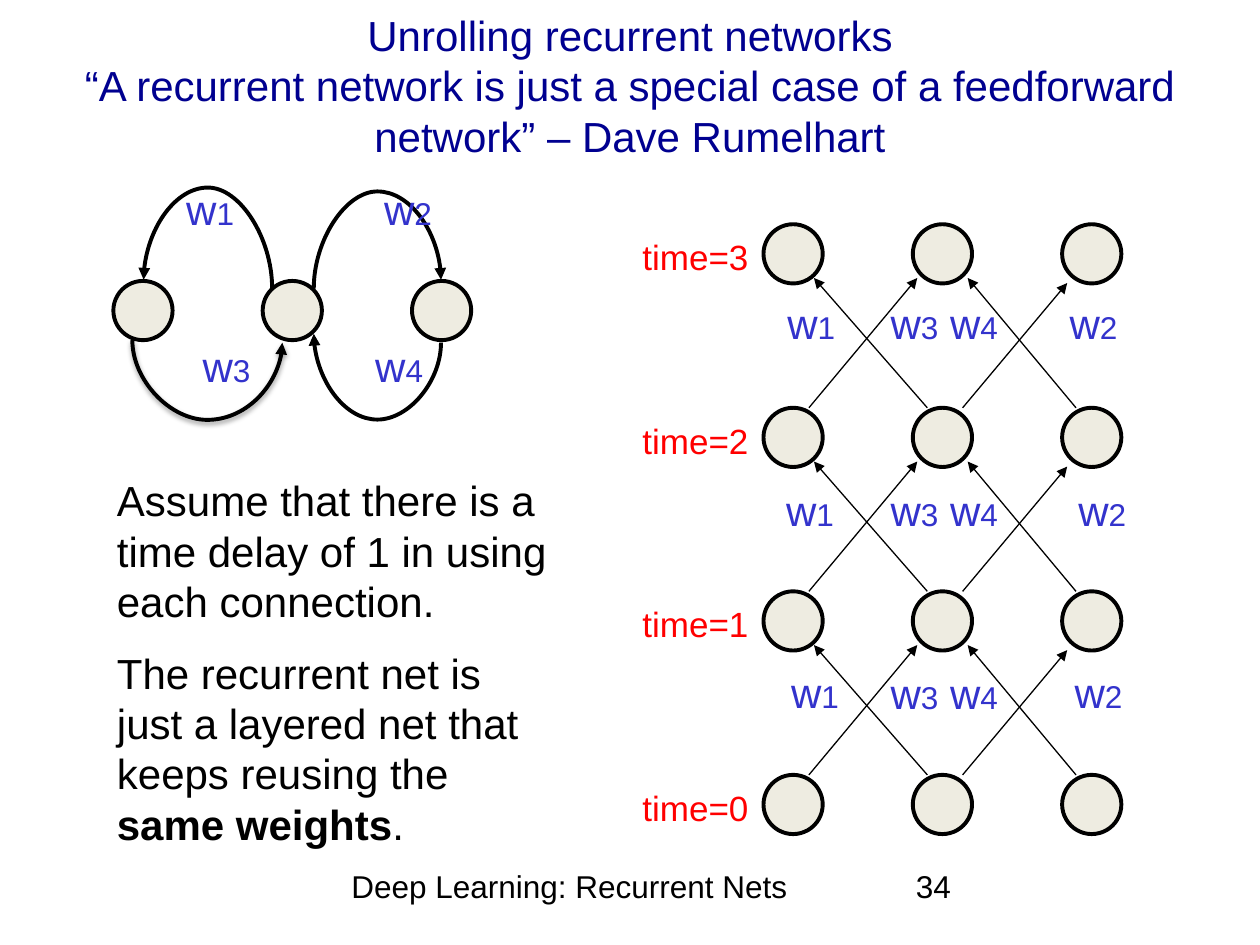
from typing import NamedTuple

from lxml import etree
from pptx import Presentation
from pptx import util as u
from pptx.dml import color
from pptx.enum import shapes, text
from pptx.oxml import ns

I = u.Inches
BLACK, RED, BLUE, NAVY, CREAM = "000000", "FF0000", "3333CC", "000090", "EEECE1"
SIZE = 0.47
PITCH = 2.37 / 2
TOP, LOW = 1.78, 6.15
STEP = (LOW - TOP) / 3


class Box(NamedTuple):
    x: float
    y: float
    w: float
    h: float


class Pair(NamedTuple):
    box: Box
    left: str
    right: str
    tab: float = 0


class Curve(NamedTuple):
    x0: float
    y0: float
    x1: float
    y1: float
    peak: float
    shade: bool = False


class Link(NamedTuple):
    x0: float
    x1: float
    rise: float


PAIRS = [
    Pair(Box(1.38, 1.41, 2.17, 0.5), "1", "2", 1.57),
    Pair(Box(1.51, 2.65, 2.17, 0.5), "3", "4", 1.37),
    Pair(Box(6.18, 5.24, 3.02, 0.5), "1", "2", 2.25),
    Pair(Box(6.97, 5.25, 1.15, 0.5), "3", "4"),
    Pair(Box(6.14, 3.8, 3.2, 0.5), "1", "2", 2.32),
    Pair(Box(6.97, 3.8, 1.15, 0.5), "3", "4"),
    Pair(Box(6.15, 2.31, 3.16, 0.5), "1", "2", 2.24),
    Pair(Box(6.97, 2.31, 1.09, 0.5), "3", "4"),
]
CURVES = [
    Curve(3.5, 2.72, 2.49, 2.65, 3.33),
    Curve(2.16, 2.29, 1.14, 2.22, 1.49),
    Curve(2.49, 2.29, 3.5, 2.22, 1.52),
    Curve(1.05, 2.7, 2.24, 2.72, 3.33, True),
]
LINKS = [
    Link(6.42, 7.28, 1.03),
    Link(8.54, 7.68, 1.03),
    Link(7.36, 6.46, 1.03),
    Link(7.64, 8.47, 0.99),
]


def rgb(code: str) -> color.RGBColor:
    return color.RGBColor.from_string(code)


def style(run, size: float, code: str, bold: bool = False) -> None:
    run.font.name = "Arial"
    run.font.size = u.Pt(size)
    run.font.color.rgb = rgb(code)
    run.font.bold = bold


def frame(slide, box: Box, grow: bool = True):
    area = slide.shapes.add_textbox(*map(I, box)).text_frame
    area.word_wrap = True
    if grow:
        area.auto_size = text.MSO_AUTO_SIZE.SHAPE_TO_FIT_TEXT
    return area


def label(slide, box: Box, words: str, size: float, code: str, grow: bool = True) -> None:
    area = frame(slide, box, grow)
    area.text = words
    style(area.paragraphs[0].runs[0], size, code)


def weights(slide, pair: Pair) -> None:
    para = frame(slide, pair.box).paragraphs[0]
    gap = " "
    if pair.tab:
        gap = "\t"
        stops = etree.SubElement(para._p.get_or_add_pPr(), ns.qn("a:tabLst"))
        etree.SubElement(stops, ns.qn("a:tab"), pos=str(I(pair.tab)), algn="l")
    for words, size in (("w", 24), (pair.left, 18), (gap + "w", 24), (pair.right, 18)):
        run = para.add_run()
        run.text = words
        style(run, size, BLUE)


def node(slide, x: float, y: float) -> None:
    disc = slide.shapes.add_shape(shapes.MSO_SHAPE.OVAL, I(x), I(y), I(SIZE), I(SIZE))
    disc.shadow.inherit = False
    disc.fill.solid()
    disc.fill.fore_color.rgb = rgb(CREAM)
    disc.line.color.rgb = rgb(BLACK)
    disc.line.width = u.Pt(2.25)


def row(slide, x: float, y: float) -> None:
    for col in range(3):
        node(slide, x + col * PITCH, y)


def arrow(slide, kind, ends: tuple, width: float):
    line = slide.shapes.add_connector(kind, *map(I, ends))
    line.line.color.rgb = rgb(BLACK)
    line.line.width = u.Pt(width)
    etree.SubElement(line.line._get_or_add_ln(), ns.qn("a:tailEnd"), type="triangle")
    etree.SubElement(line._element.spPr, ns.qn("a:effectLst"))
    return line


def bend(slide, c: Curve) -> None:
    wide, tall = abs(c.y1 - c.y0), abs(c.x1 - c.x0)
    x, y = (c.x0 + c.x1 - wide) / 2, (c.y0 + c.y1 - tall) / 2
    ends = [x, y, x + wide, y + tall]
    if c.y1 > c.y0:
        ends[0], ends[2] = ends[2], ends[0]
    if c.x1 < c.x0:
        ends[1], ends[3] = ends[3], ends[1]
    line = arrow(slide, shapes.MSO_CONNECTOR.CURVE, tuple(ends), 2.25)
    props = line._element.spPr
    props.find(ns.qn("a:xfrm")).set("rot", str(270 * 60000))
    ratio = round((c.peak - c.y0) / (c.y1 - c.y0) * 100000)
    guides = props.find(ns.qn("a:prstGeom")).get_or_add_avLst()
    etree.SubElement(guides, ns.qn("a:gd"), name="adj1", fmla=f"val {ratio}")
    if c.shade:
        shade = etree.SubElement(
            props.find(ns.qn("a:effectLst")), ns.qn("a:outerShdw"),
            blurRad=str(u.Pt(3.1)), dist=str(u.Pt(1.6)), dir=str(90 * 60000), rotWithShape="0")
        tint = etree.SubElement(shade, ns.qn("a:srgbClr"), val=BLACK)
        etree.SubElement(tint, ns.qn("a:alpha"), val="38000")


def title(slide) -> None:
    head = slide.shapes.title
    head.left, head.top, head.width, head.height = map(I, Box(0.5, 0.05, 9, 1.25))
    area = head.text_frame
    area.text = ("Unrolling recurrent networks\v“A recurrent network is just a special case "
                 "of a feedforward network” – Dave Rumelhart")
    area.word_wrap = True
    area.auto_size = text.MSO_AUTO_SIZE.NONE
    area.vertical_anchor = text.MSO_ANCHOR.MIDDLE
    para = area.paragraphs[0]
    para.alignment = text.PP_ALIGN.CENTER
    for run in para.runs:
        style(run, 24, NAVY)


def notes(slide) -> None:
    area = frame(slide, Box(0.83, 3.72, 3.66, 3.13))
    area.text = "Assume that there is a time delay of 1 in using each connection."
    style(area.paragraphs[0].runs[0], 24, BLACK)
    para = area.add_paragraph()
    para.space_before = u.Pt(12)
    for words, bold in (
        ("The recurrent net is just a layered net that keeps reusing the ", False),
        ("same weights", True),
        (".", False),
    ):
        run = para.add_run()
        run.text = words
        style(run, 24, BLACK, bold)


def main() -> None:
    deck = Presentation()
    deck.slide_width, deck.slide_height = I(10), I(7.5)
    slide = deck.slides.add_slide(deck.slide_layouts[5])
    title(slide)
    row(slide, 0.9, 2.23)
    for curve in CURVES:
        bend(slide, curve)
    notes(slide)
    for time in range(4):
        y = LOW - time * STEP
        label(slide, Box(5, y + 0.04, 1.06, 0.44), f"time={time}", 20, RED)
        row(slide, 6.06, y)
        if time < 3:
            for link in LINKS:
                ends = (link.x0, y, link.x1, y - link.rise)
                arrow(slide, shapes.MSO_CONNECTOR.STRAIGHT, ends, 0.75)
    for pair in PAIRS:
        weights(slide, pair)
    label(slide, Box(2.69, 6.83, 3.9, 0.52), "Deep Learning: Recurrent Nets", 18, BLACK, False)
    label(slide, Box(7.17, 6.83, 2.33, 0.52), "34", 18, BLACK, False)
    deck.save("out.pptx")


if __name__ == "__main__":
    main()
